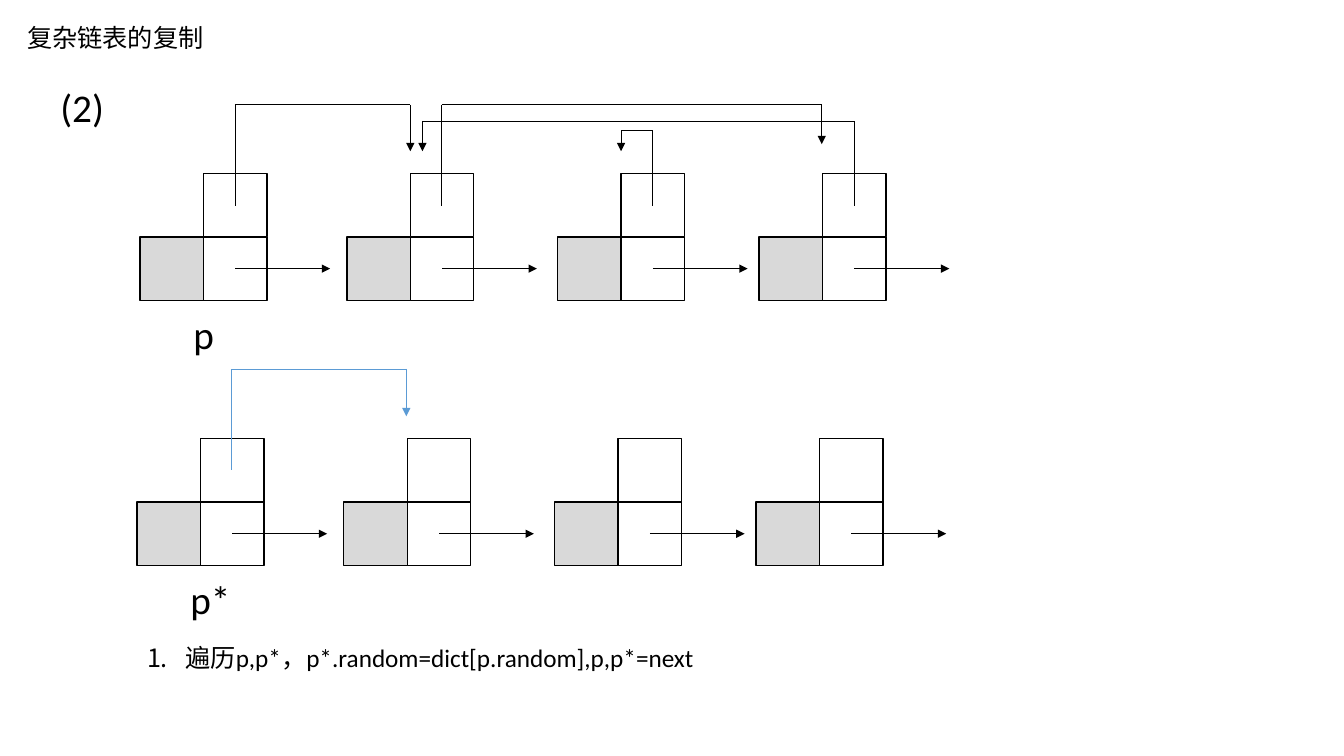
"""Builds the slide on copying a linked list with random pointers."""
from itertools import pairwise

from lxml import etree
from pptx import Presentation
from pptx.dml.color import RGBColor
from pptx.enum import shapes, text
from pptx.oxml.ns import qn
from pptx.util import Inches, Pt

BLACK, WHITE, GREY, BLUE = "000000", "FFFFFF", "D9D9D9", "5B9BD5"
CELL = 0.63
NODE_LEFTS = [1.39, 3.44, 5.53, 7.53]
COPY_SHIFT = -0.03
RANDOM_LINKS = [
    [(2.33, 2.04), (2.33, 1.04), (4.07, 1.04), (4.07, 1.5)],
    [(4.38, 2.04), (4.38, 1.04), (8.15, 1.04), (8.15, 1.43)],
    [(6.47, 2.04), (6.47, 1.29), (6.16, 1.29), (6.16, 1.5)],
    [(8.47, 2.04), (8.47, 1.2), (4.19, 1.2), (4.19, 1.5)],
]
COPIED_LINK = [(2.29, 4.66), (2.29, 3.66), (4.03, 3.66), (4.03, 4.13)]


def rgb(color):
    """Return the colour for a hex string."""
    return RGBColor.from_string(color)


def add_text(slide, content, left, top, width, height, size=18, wrap=False, numbered=False):
    """Add a text box with one paragraph."""
    sp = slide.shapes.add_textbox(*map(Inches, (left, top, width, height)))
    tf = sp.text_frame
    tf.word_wrap = wrap
    tf.auto_size = text.MSO_AUTO_SIZE.SHAPE_TO_FIT_TEXT
    p = tf.paragraphs[0]
    r = p.add_run()
    r.text = content
    r.font.size = Pt(size)
    r.font.name = "Calibri"
    r.font.color.rgb = rgb(BLACK)
    if numbered:
        props = p._p.get_or_add_pPr()
        props.set("marL", str(Inches(0.38)))
        props.set("indent", str(Inches(-0.38)))
        etree.SubElement(props, qn("a:buAutoNum"), type="arabicPeriod")


def add_cell(slide, left, top, fill=WHITE):
    """Add one square cell of a node."""
    sp = slide.shapes.add_shape(
        shapes.MSO_SHAPE.RECTANGLE, Inches(left), Inches(top), Inches(CELL), Inches(CELL))
    sp.shadow.inherit = False
    sp.fill.solid()
    sp.fill.fore_color.rgb = rgb(fill)
    sp.line.color.rgb = rgb(BLACK)
    sp.line.width = Pt(1)


def add_line(slide, start, end, color=BLACK, arrow=False):
    """Add a straight line, with an arrowhead at its end if asked."""
    line = slide.shapes.add_connector(
        shapes.MSO_CONNECTOR.STRAIGHT, *map(Inches, (*start, *end)))
    line.line.color.rgb = rgb(color)
    line.line.width = Pt(0.5)
    if arrow:
        etree.SubElement(line.line._get_or_add_ln(), qn("a:tailEnd"), type="triangle")
    etree.SubElement(line._element.spPr, qn("a:effectLst"))


def add_link(slide, points, color=BLACK):
    """Add a chain of lines whose last one has an arrowhead."""
    for start, end in pairwise(points):
        add_line(slide, start, end, color, arrow=end == points[-1])


def add_node(slide, left, top):
    """Add a node: value, next and random cells, and the next arrow."""
    middle = left + CELL
    add_cell(slide, left, top, GREY)
    add_cell(slide, middle, top)
    add_cell(slide, middle, top - CELL)
    x, y = middle + CELL / 2, top + CELL / 2
    add_line(slide, (x, y), (x + 0.94, y), arrow=True)


def main():
    """Build and save the slide."""
    prs = Presentation()
    prs.slide_width, prs.slide_height = Inches(13.33), Inches(7.5)
    slide = prs.slides.add_slide(prs.slide_layouts[6])
    add_text(slide, "复杂链表的复制", 0.17, 0.17, 1.97, 0.4)
    add_text(slide, "(2)", 0.5, 0.78, 0.64, 0.57, size=28)
    for shift, top in ((0, 2.35), (COPY_SHIFT, 4.98)):
        for left in NODE_LEFTS:
            add_node(slide, left + shift, top)
    add_text(slide, "p", 1.82, 3.03, 0.41, 0.57, size=28)
    add_text(slide, "p*", 1.79, 5.66, 0.61, 0.57, size=28)
    for points in RANDOM_LINKS:
        add_link(slide, points)
    add_link(slide, COPIED_LINK, BLUE)
    add_text(slide, "遍历p,p*，p*.random=dict[p.random],p,p*=next",
             1.36, 6.32, 6.79, 0.4, wrap=True, numbered=True)
    prs.save("out.pptx")


if __name__ == "__main__":
    main()
